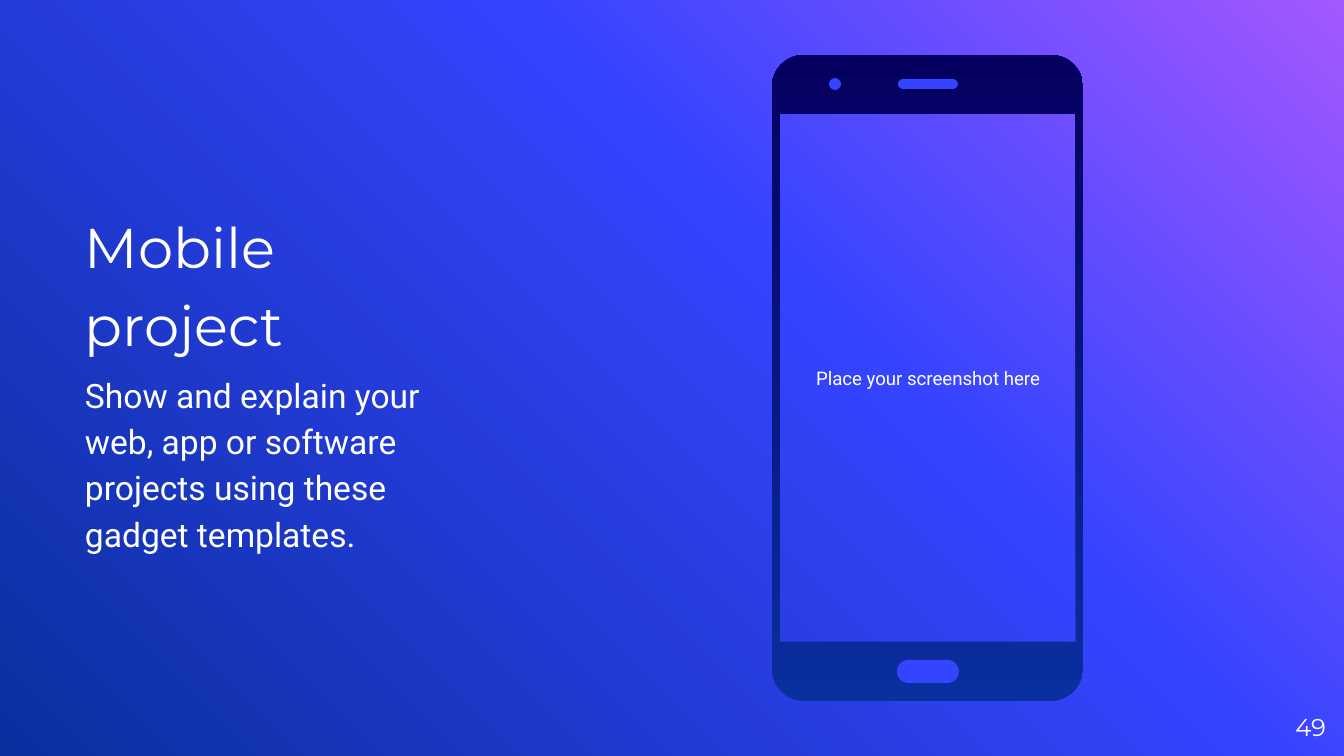
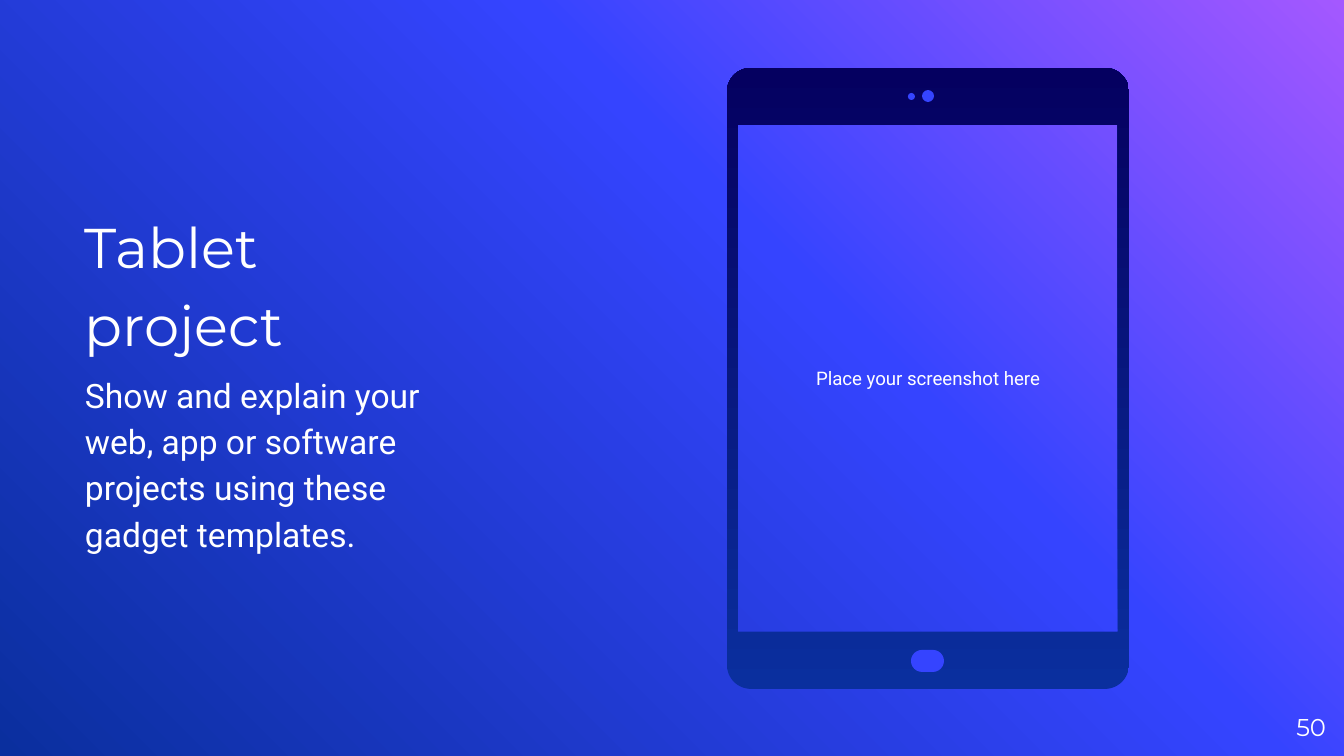
"""Build two gadget slides, a phone and a tablet, over a shared gradient."""
import copy
import math

import pptx
import pptx.dml.color
import pptx.enum.shapes
import pptx.enum.text
import pptx.oxml.ns
import pptx.util

EMU_PER_PX = 9144000 / 1344
SLIDE_SIZE = (1344, 756)
COLORS = {
    "text": "FFFFFF",
    "violet": "A458FF",
    "blue": "3544FF",
    "navy": "0A2F9E",
    "midnight": "050060",
}
BACKDROP = {"stops": [(0, "violet"), (0.39, "blue"), (1, "navy")], "angle": 225}
CASING = {"stops": [(0, "navy"), (1, "midnight")], "angle": 90}
TEXT = {
    "heading": {"name": "Montserrat", "size": pptx.util.Pt(30), "bold": False},
    "body": {"name": "Roboto", "size": pptx.util.Pt(18), "bold": False},
    "prompt": {"name": "Roboto", "size": pptx.util.Pt(10)},
    "number": {"name": "Montserrat", "size": pptx.util.Pt(13)},
}
INTRO_PARAGRAPH = {
    "alignment": pptx.enum.text.PP_ALIGN.LEFT,
    "line_spacing": 1.15,
    "space_before": pptx.util.Pt(6),
}
INTRO_BOX = (85, 116, 373, 525)
NUMBER_BOX = (1246, 698, 80, 58)
DESCRIPTION = (
    "Show and explain your web, app or software projects "
    "using these gadget templates."
)
PROMPT = "Place your screenshot here"
PILL = pptx.enum.shapes.MSO_SHAPE.ROUNDED_RECTANGLE
DOT = pptx.enum.shapes.MSO_SHAPE.OVAL
GADGETS = [
    {
        "heading": "Mobile project",
        "number": "49",
        "casing": (772, 55, 311, 646),
        "radius": 32,
        "screen": (780, 114, 296, 528),
        "details": [
            (PILL, (897, 660, 62, 23)),
            (DOT, (829, 78, 12, 12)),
            (PILL, (898, 79, 60, 10)),
        ],
    },
    {
        "heading": "Tablet\vproject",
        "number": "50",
        "casing": (727, 68, 402, 621),
        "radius": 24,
        "screen": (738, 125, 380, 507),
        "details": [
            (PILL, (911, 650, 33, 22)),
            (DOT, (908, 93, 7, 7)),
            (DOT, (922, 90, 12, 12)),
        ],
    },
]


def emu(*lengths):
    """Turn pixel lengths into EMU."""
    return [pptx.util.Emu(round(length * EMU_PER_PX)) for length in lengths]


def apply(target, values):
    """Set every attribute named in a dict of format values."""
    for name, value in values.items():
        setattr(target, name, value)


def rgb(color):
    """Return the named colour of the palette."""
    return pptx.dml.color.RGBColor.from_string(COLORS[color])


def paint_gradient(fill, element, stops, angle):
    """Give a fill a linear gradient with any number of stops."""
    fill.gradient()
    fill.gradient_angle = angle
    stop_list = element.find(".//" + pptx.oxml.ns.qn("a:gsLst"))
    while len(stop_list) < len(stops):
        stop_list.append(copy.deepcopy(stop_list[-1]))
    for stop, (position, color) in zip(fill.gradient_stops, stops):
        stop.position = position
        stop.color.rgb = rgb(color)


def rounded_outline(left, top, width, height, radius, steps=16):
    """List the points of a rounded rectangle, clockwise from its left side."""
    right, bottom = left + width - radius, top + height - radius
    corners = [
        (left + radius, top + radius),
        (right, top + radius),
        (right, bottom),
        (left + radius, bottom),
    ]
    points = []
    for quarter, (x, y) in enumerate(corners):
        for step in range(steps + 1):
            turn = math.pi * (1 + (quarter + step / steps) / 2)
            points.append(emu(x + radius * math.cos(turn), y + radius * math.sin(turn)))
    return points


class GadgetDeck:
    """Hold the presentation style and the current slide."""

    def __init__(self):
        """Set the slide size and the shared background."""
        self.deck = pptx.Presentation()
        self.deck.slide_width, self.deck.slide_height = emu(*SLIDE_SIZE)
        master = self.deck.slide_master
        paint_gradient(master.background.fill, master._element, **BACKDROP)
        self.slide = None

    def start_slide(self):
        """Add a title-only slide and make it current."""
        self.slide = self.deck.slides.add_slide(self.deck.slide_layouts[5])

    def frame_text(self, frame, inset):
        """Centre a text frame vertically with equal margins."""
        sides = ("left", "right", "top", "bottom")
        apply(frame, {f"margin_{side}": emu(inset)[0] for side in sides})
        apply(frame, {
            "word_wrap": True,
            "auto_size": pptx.enum.text.MSO_AUTO_SIZE.NONE,
            "vertical_anchor": pptx.enum.text.MSO_ANCHOR.MIDDLE,
        })

    def fill_paragraph(self, paragraph, text, style):
        """Fill a paragraph with styled text and line breaks of the same size."""
        paragraph.text = text
        for run in paragraph.runs:
            apply(run.font, TEXT[style])
            run.font.color.rgb = rgb("text")
        for line_break in paragraph._p.findall(pptx.oxml.ns.qn("a:br")):
            line_break.append(copy.deepcopy(paragraph.runs[0].font._element))

    def intro(self, heading, description):
        """Place the heading and its description in the title placeholder."""
        title = self.slide.shapes.title
        apply(title, dict(zip(("left", "top", "width", "height"), emu(*INTRO_BOX))))
        frame = title.text_frame
        self.frame_text(frame, 0)
        self.fill_paragraph(frame.paragraphs[0], heading, "heading")
        self.fill_paragraph(frame.add_paragraph(), description, "body")
        for paragraph in frame.paragraphs:
            apply(paragraph, INTRO_PARAGRAPH)

    def label(self, text, box, style, align, inset=0):
        """Add a one-paragraph text box."""
        frame = self.slide.shapes.add_textbox(*emu(*box)).text_frame
        self.frame_text(frame, inset)
        self.fill_paragraph(frame.paragraphs[0], text, style)
        frame.paragraphs[0].alignment = align

    def casing(self, box, radius, screen):
        """Draw a rounded gadget body with the screen cut out."""
        start, *outline = rounded_outline(*box, radius)
        left, top, width, height = emu(*screen)
        right, bottom = left + width, top + height
        builder = self.slide.shapes.build_freeform(*start)
        builder.add_line_segments(outline)
        builder.move_to(left, top)
        builder.add_line_segments([(left, bottom), (right, bottom), (right, top)])
        body = builder.convert_to_shape()
        body.shadow.inherit = False
        body.line.fill.background()
        paint_gradient(body.fill, body._element, **CASING)

    def detail(self, kind, box):
        """Add a button, camera or speaker."""
        part = self.slide.shapes.add_shape(kind, *emu(*box))
        part.shadow.inherit = False
        part.line.fill.background()
        part.fill.solid()
        part.fill.fore_color.rgb = rgb("blue")
        if kind == PILL:
            part.adjustments[0] = 0.5

    def gadget_slide(self, gadget):
        """Build the whole slide of one gadget."""
        align = pptx.enum.text.PP_ALIGN
        self.start_slide()
        self.intro(gadget["heading"], DESCRIPTION)
        self.label(PROMPT, gadget["screen"], "prompt", align.CENTER, 13)
        self.label(gadget["number"], NUMBER_BOX, "number", align.RIGHT)
        self.casing(gadget["casing"], gadget["radius"], gadget["screen"])
        for kind, box in gadget["details"]:
            self.detail(kind, box)


def main():
    """Build and save the slides."""
    gadgets = GadgetDeck()
    for gadget in GADGETS:
        gadgets.gadget_slide(gadget)
    gadgets.deck.save("out.pptx")


if __name__ == "__main__":
    main()
